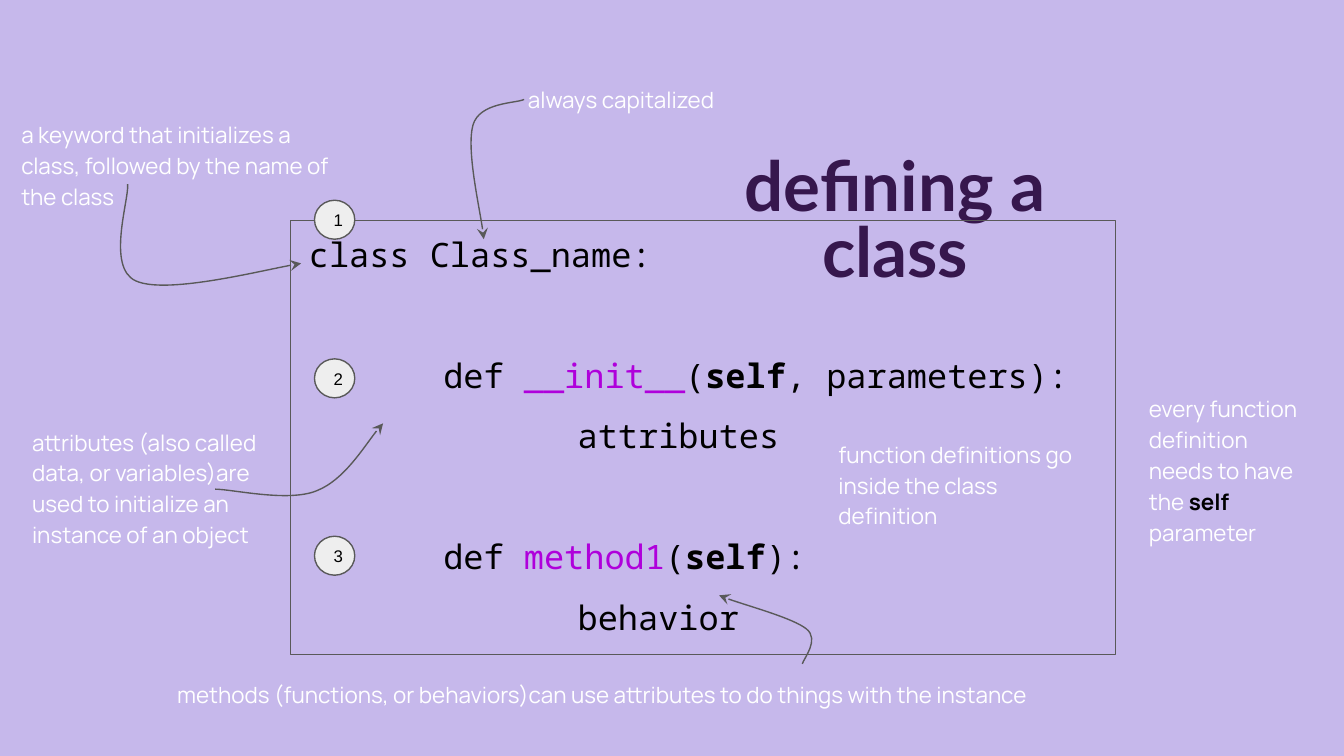
from lxml.etree import SubElement
from pptx import Presentation
from pptx.dml.color import RGBColor
from pptx.enum.shapes import MSO_SHAPE
from pptx.enum.text import MSO_ANCHOR, MSO_AUTO_SIZE, PP_ALIGN
from pptx.oxml.ns import qn
from pptx.util import Inches, Pt

THEME = {
    "background": "C6B8EB", "title": "36174D", "note": "FFFFFF", "ink": "000000",
    "name": "AF00DB", "line": "595959", "marker": "EEEEEE",
    "title_font": "Lato", "code_font": "Noto Sans Mono",
    "note_font": "Manrope", "marker_font": "Arial",
    "title_size": 37, "code_size": 18, "note_size": 12, "marker_size": 9,
    "line_width": 0.75,
}

# Content: a span is (text, colour key, bold)
TITLE = "defining a class"
TITLE_PLACE = (5.02, 1.08, 3.28, 0.7)
CODE_PLACE = (2.16, 1.64, 6.14, 3.23)
SELF = ("self", "ink", True)

# Code lines: indent level, space before in points, spans
CODE = [
    (0, 0, [("class Class_name:", "ink", False)]),
    (1, 43.2, [("def ", "ink", False), ("__init__", "name", False), ("(", "ink", False),
               SELF, (", parameters):", "ink", False)]),
    (2, 10.8, [("attributes", "ink", False)]),
    (1, 43.2, [("def ", "ink", False), ("method1", "name", False), ("(", "ink", False),
               SELF, ("):", "ink", False)]),
    (2, 10.8, [("behavior", "ink", False)]),
]

# Notes: place, spans, then the arrow as a start point and cubic curve points
NOTES = [
    ((0.06, 0.77, 2.55, 0.87),
     [("a keyword that initializes a class, followed by the name of the class", "note", False)],
     [(0.95, 1.37), (0.96, 1.49), (0.79, 1.99), (1.01, 2.09),
      (1.23, 2.19), (2.04, 1.99), (2.24, 1.96)]),
    ((3.83, 0.51, 3.28, 0.4),
     [("always capitalized", "note", False)],
     [(3.9, 0.74), (3.84, 0.77), (3.57, 0.76), (3.52, 0.93),
      (3.47, 1.11), (3.59, 1.64), (3.6, 1.78)]),
    ((6.14, 3.15, 2.02, 0.87),
     [("function definitions go inside the class definition", "note", False)], None),
    ((0.14, 3.06, 2.02, 1.1),
     [("attributes (also called data, or variables)are used to initialize "
       "an instance of an object", "note", False)],
     [(1.6, 3.64), (1.73, 3.64), (2.15, 3.74), (2.36, 3.65),
      (2.56, 3.57), (2.77, 3.23), (2.85, 3.15)]),
    ((1.22, 4.94, 8.02, 0.4),
     [("methods (functions, or behaviors)can use attributes to do things "
       "with the instance", "note", False)],
     [(5.97, 4.94), (5.98, 4.9), (6.1, 4.76), (6, 4.68),
      (5.9, 4.6), (5.46, 4.48), (5.35, 4.43)]),
    ((8.45, 2.81, 1.39, 1.33),
     [("every function definition needs to have the ", "note", False), SELF,
      (" parameter", "note", False)], None),
]

MARKER_LEFT, MARKER_WIDTH, MARKER_HEIGHT = 2.34, 0.3, 0.29
MARKER_TOPS = [1.49, 2.67, 3.99]


def color(key):
    return RGBColor.from_string(THEME[key])


def inches(values):
    return [Inches(value) for value in values]


def prepare_frame(frame, anchor=MSO_ANCHOR.TOP, fit=MSO_AUTO_SIZE.NONE):
    frame.word_wrap = True
    frame.auto_size = fit
    frame.vertical_anchor = anchor
    frame.margin_left = frame.margin_right = Inches(0.1)
    frame.margin_top = frame.margin_bottom = Inches(0.1)


def write(para, spans, kind, align=PP_ALIGN.LEFT, spacing=1.0, before=0, after=0):
    para.alignment = align
    para.line_spacing = spacing
    para.space_before, para.space_after = Pt(before), Pt(after)
    for text, color_key, bold in spans:
        span = para.add_run()
        span.text = text
        span.font.name = THEME[kind + "_font"]
        span.font.size = Pt(THEME[kind + "_size"])
        span.font.bold = bold
        span.font.color.rgb = color(color_key)


def outline(shape, fill=None):
    shape.shadow.inherit = False
    if fill:
        shape.fill.solid()
        shape.fill.fore_color.rgb = color(fill)
    else:
        shape.fill.background()
    shape.line.color.rgb = color("line")
    shape.line.width = Pt(THEME["line_width"])


def add_curved_arrow(page, points):
    start, *rest = [inches(point) for point in points]
    builder = page.shapes.build_freeform(*start)
    builder.add_line_segments(rest, close=False)
    arrow = builder.convert_to_shape()
    outline(arrow)
    # Every three straight steps become one cubic curve
    steps = list(arrow._element.iter(qn("a:lnTo")))
    for first in range(0, len(steps), 3):
        owner = steps[first].getparent()
        curve = SubElement(owner, qn("a:cubicBezTo"))
        for step in steps[first:first + 3]:
            curve.append(step[0])
            owner.remove(step)
    SubElement(arrow.line._get_or_add_ln(), qn("a:tailEnd"), type="stealth")


def main():
    # Widescreen page, 16 to 9
    deck = Presentation()
    deck.slide_width = Inches(10)
    deck.slide_height = deck.slide_width * 9 // 16
    page = deck.slides.add_slide(deck.slide_layouts[5])
    page.background.fill.solid()
    page.background.fill.fore_color.rgb = color("background")

    # Title
    title = page.shapes.title
    title.left, title.top, title.width, title.height = inches(TITLE_PLACE)
    prepare_frame(title.text_frame, fit=MSO_AUTO_SIZE.SHAPE_TO_FIT_TEXT)
    write(title.text_frame.paragraphs[0], [(TITLE, "title", True)], "title",
          align=PP_ALIGN.CENTER, spacing=0.8)

    # Code panel
    panel = page.shapes.add_shape(MSO_SHAPE.RECTANGLE, *inches(CODE_PLACE))
    outline(panel)
    prepare_frame(panel.text_frame)
    for index, (level, before, spans) in enumerate(CODE):
        para = panel.text_frame.add_paragraph() if index else panel.text_frame.paragraphs[0]
        properties = para._p.get_or_add_pPr()
        properties.set("marL", str(Inches(0.04 + level)))
        properties.set("indent", "0")
        write(para, spans, "code", before=before)

    # Notes and their arrows
    for place, spans, points in NOTES:
        box = page.shapes.add_textbox(*inches(place))
        prepare_frame(box.text_frame, fit=MSO_AUTO_SIZE.SHAPE_TO_FIT_TEXT)
        write(box.text_frame.paragraphs[0], spans, "note", spacing=1.15, after=12)
        if points:
            add_curved_arrow(page, points)

    # Numbered markers
    for number, top in enumerate(MARKER_TOPS, start=1):
        marker = page.shapes.add_shape(
            MSO_SHAPE.OVAL, *inches((MARKER_LEFT, top, MARKER_WIDTH, MARKER_HEIGHT)))
        outline(marker, fill="marker")
        prepare_frame(marker.text_frame, anchor=MSO_ANCHOR.MIDDLE)
        write(marker.text_frame.paragraphs[0], [(str(number), "ink", False)], "marker",
              align=PP_ALIGN.CENTER)

    deck.save("out.pptx")


if __name__ == "__main__":
    main()
